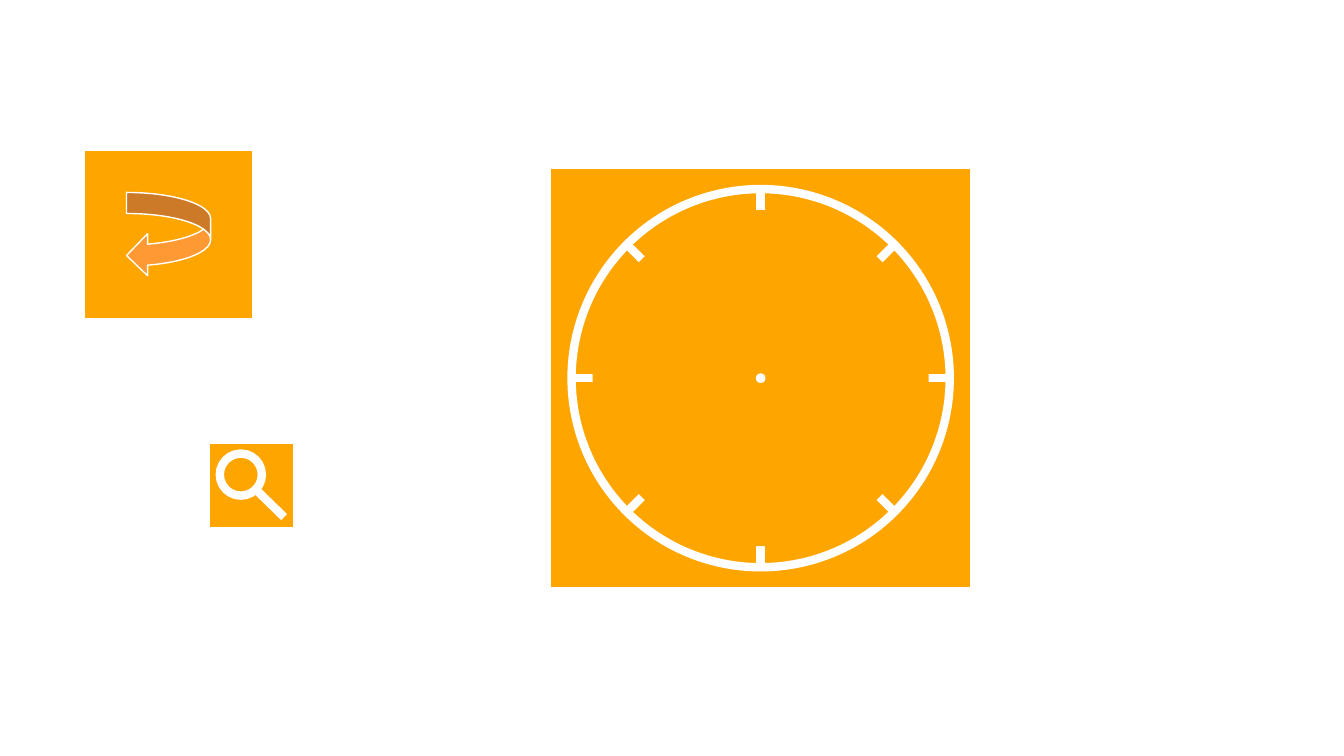
from dataclasses import dataclass
from math import cos, radians, sin

from lxml.etree import SubElement
from pptx import Presentation
from pptx.dml.color import RGBColor
from pptx.enum.shapes import MSO_CONNECTOR as Connector, MSO_SHAPE as Preset
from pptx.oxml.ns import qn
from pptx.shapes.shapetree import GroupShapes
from pptx.util import Cm, Pt

ORANGE, ARROW_ORANGE, WHITE = "FFA500", "FF9933", "FFFFFF"
THIN, THICK = 1, 6


@dataclass
class Figure:
    """A preset shape in a square frame; centre and size in cm, line in points."""
    preset: Preset
    x: float
    y: float
    size: float
    fill: str | None = ORANGE
    line: float | None = THIN


@dataclass
class Stroke:
    """A thick white line between two points in cm."""
    x1: float
    y1: float
    x2: float
    y2: float


def colour(hex_code: str) -> RGBColor:
    return RGBColor.from_string(hex_code)


def draw_figure(shapes: GroupShapes, figure: Figure) -> None:
    half = figure.size / 2
    shape = shapes.add_shape(figure.preset, Cm(figure.x - half), Cm(figure.y - half),
                             Cm(figure.size), Cm(figure.size))
    shape.shadow.inherit = False
    if figure.fill:
        shape.fill.solid()
        shape.fill.fore_color.rgb = colour(figure.fill)
    else:
        shape.fill.background()
    if figure.line:
        shape.line.color.rgb = colour(WHITE)
        shape.line.width = Pt(figure.line)
    else:
        shape.line.fill.background()


def draw_stroke(shapes: GroupShapes, stroke: Stroke) -> None:
    connector = shapes.add_connector(Connector.STRAIGHT, Cm(stroke.x1), Cm(stroke.y1),
                                     Cm(stroke.x2), Cm(stroke.y2))
    connector.line.color.rgb = colour(WHITE)
    connector.line.width = Pt(THICK)
    SubElement(connector._element.spPr, qn("a:effectLst"))


def clock_spoke(x: float, y: float, radius: float, angle: float) -> Stroke:
    dx, dy = radius * cos(radians(angle)), radius * sin(radians(angle))
    return Stroke(x - dx, y - dy, x + dx, y + dy)


# Back button
back_x, back_y = 4.25, 5.91
back_button = [
    Figure(Preset.RECTANGLE, back_x, back_y, 4.23),
    Figure(Preset.CURVED_LEFT_ARROW, back_x, back_y, 2.12, ARROW_ORANGE),
]

# Clock face: the inner disc leaves only the ends of the spokes as hour marks
clock_x, clock_y, dial = 19.17, 9.53, 9.53
clock = [
    Figure(Preset.RECTANGLE, clock_x, clock_y, 10.58),
    Figure(Preset.OVAL, clock_x, clock_y, dial, line=THICK),
    *(clock_spoke(clock_x, clock_y, dial / 2, angle) for angle in (90, 0, -45, 45)),
    Figure(Preset.OVAL, clock_x, clock_y, 8.47, line=None),
    Figure(Preset.OVAL, clock_x, clock_y, 0.21, WHITE),
]

# Search button
search_button = [
    Figure(Preset.RECTANGLE, 6.34, 12.23, 2.12),
    Figure(Preset.OVAL, 6.07, 11.96, 1.06, fill=None, line=THICK),
    Stroke(6.45, 12.34, 7.16, 13.03),
]

deck = Presentation()
deck.slide_width, deck.slide_height = Cm(33.87), Cm(19.05)
slide = deck.slides.add_slide(deck.slide_layouts[6])

# One group per icon
for icon in (back_button, clock, search_button):
    group = slide.shapes.add_group_shape()
    for part in icon:
        if isinstance(part, Figure):
            draw_figure(group.shapes, part)
        else:
            draw_stroke(group.shapes, part)

deck.save("out.pptx")
